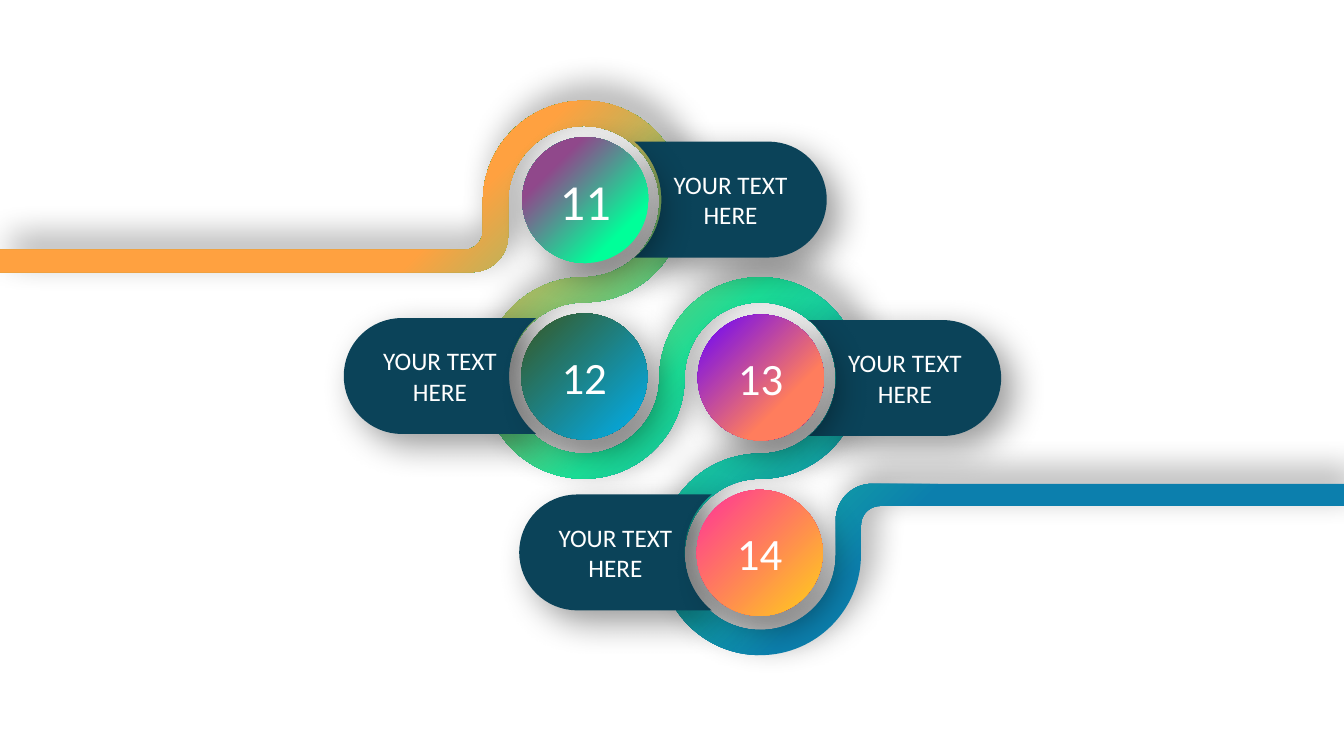
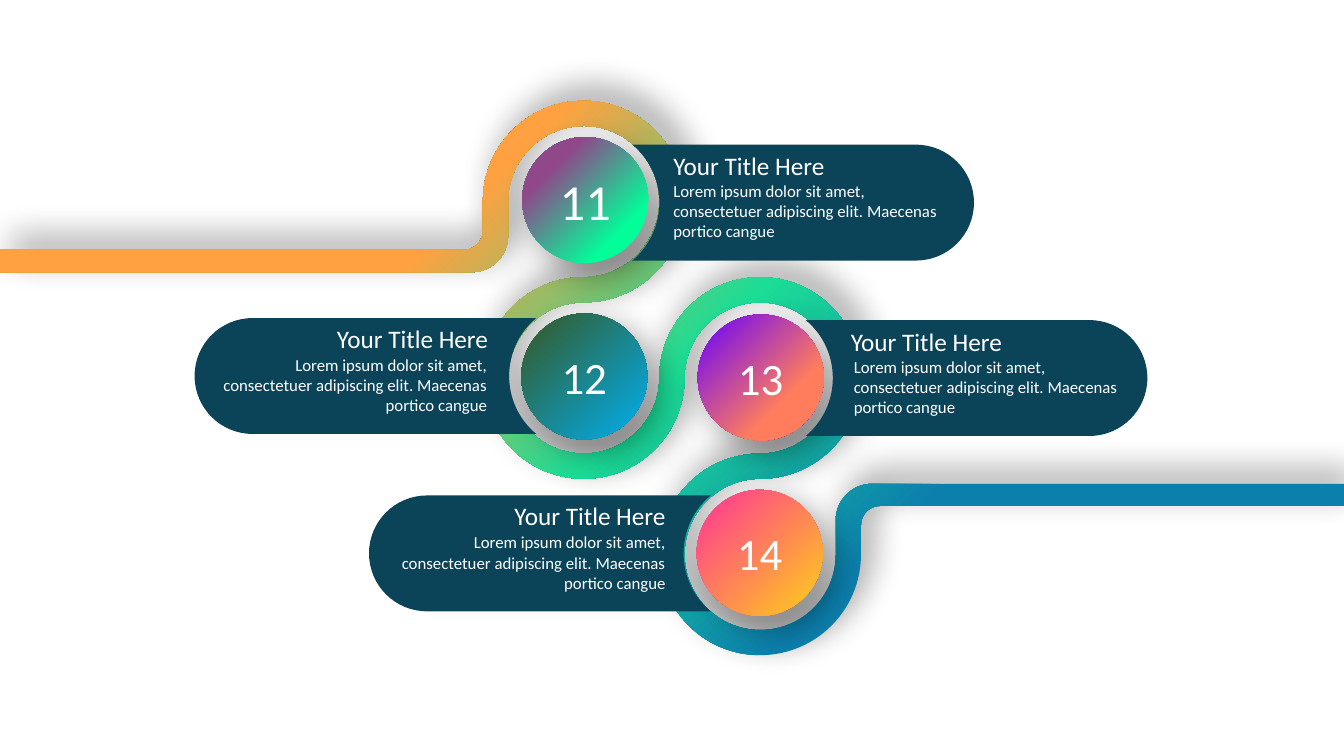
from dataclasses import dataclass
from math import cos, radians, sin, tan

from pptx import Presentation
from pptx.dml.color import RGBColor
from pptx.enum.shapes import MSO_SHAPE as Preset
from pptx.enum.text import MSO_ANCHOR as Anchor, PP_ALIGN as Align
from pptx.oxml import parse_xml
from pptx.oxml.ns import nsdecls, qn
from pptx.util import Emu, Pt

SCALE = 9144
PAGE_WIDTH, PAGE_HEIGHT = 1333, 750
FONT = "Calibri"
WHITE, NAVY, BLACK = "FFFFFF", "0B4359", "000000"
DISC = 125
INNER, OUTER = 75, 100
LEFT_X, RIGHT_X = 579, 754
TOP_Y, MIDDLE_Y, BOTTOM_Y = 200, 375, 550
MOUTH_ANGLE = 50
SHORT_REACH, LONG_REACH = 239, 387
TITLE_WIDTH, BODY_WIDTH = 241, 283
LINEAR = '<a:lin ang="{}" scaled="0"/>'
FROM_BOTTOM_RIGHT = '<a:path path="circle"><a:fillToRect l="100000" t="100000"/></a:path>'
FROM_TOP_LEFT = '<a:path path="circle"><a:fillToRect r="100000" b="100000"/></a:path>'
RIBBON_STOPS = [(30, "0C7FAD"), (50, "1BDD96"), (70, "FFA140")]
LABEL = "YOUR TEXT HERE"
TITLE = "Your Title Here"
BODY = "Lorem ipsum dolor sit amet, consectetuer adipiscing elit. Maecenas portico cangue"


@dataclass
class Step:
    number: str
    size: int
    disc: tuple
    stops: list
    direction: str
    side: int
    short_hub: tuple
    long_hub: tuple
    title: tuple
    body: tuple


STEPS = [
    Step("13", 32, (692, 312), [(31, "FF7D5D"), (100, "6600FF")], FROM_BOTTOM_RIGHT,
         1, (754, 375), (751, 375), (834, 319), (837, 349)),
    Step("12", 32, (517, 311), [(0, "385723"), (100, "00B0F0")], LINEAR.format(45 * 60000),
         -1, (580, 373), (580, 373), (253, 316), (210, 347)),
    Step("14", 32, (691, 486), [(11, "FFBF27"), (100, "FF3399")], FROM_BOTTOM_RIGHT,
         -1, (754, 548), (753, 549), (429, 491), (387, 523)),
    Step("11", 36, (518, 136), [(24, "90488B"), (77, "00FF99")], FROM_TOP_LEFT,
         1, (581, 198), (579, 201), (658, 144), (658, 174)),
]


def px(length):
    return Emu(round(length * SCALE))


def color(value):
    return RGBColor.from_string(value)


def line_to(x, y):
    return [((x, y),)]


def arc(x, y, radius, start, end):
    count = max(1, round(abs(end - start) / 90))
    sweep = radians(end - start) / count
    pull = 4 / 3 * tan(sweep / 4)

    def point(angle, tangent):
        return (x + radius * (cos(angle) - tangent * sin(angle)),
                y + radius * (sin(angle) + tangent * cos(angle)))

    segments = [(point(radians(start), 0),)]
    for i in range(count):
        first = radians(start) + i * sweep
        last = first + sweep
        segments.append((point(first, pull), point(last, -pull), point(last, 0)))
    return segments


def move(segments, place):
    return [tuple(place(x, y) for x, y in segment) for segment in segments]


def bend(shape, segments):
    outline = shape._element.spPr.find(".//" + qn("a:path"))
    nodes = iter(list(outline))
    for segment in segments:
        node = next(nodes)
        if len(segment) == 3:
            curve = parse_xml(f'<a:cubicBezTo {nsdecls("a")}/>')
            outline.replace(node, curve)
            curve.append(node[0])
            for _ in range(2):
                extra = next(nodes)
                curve.append(extra[0])
                outline.remove(extra)


def add_outline(shapes, segments):
    points = [(px(x), px(y)) for segment in segments for x, y in segment]
    builder = shapes.build_freeform(*points[0], scale=1.0)
    builder.add_line_segments(points[1:], close=True)
    shape = builder.convert_to_shape()
    bend(shape, segments)
    shape.shadow.inherit = False
    shape.line.fill.background()
    return shape


def fill_solid(shape, value):
    shape.fill.solid()
    shape.fill.fore_color.rgb = color(value)


def fill_gradient(shape, stops, direction):
    shape.fill.background()
    marks = "".join(
        f'<a:gs pos="{place * 1000}"><a:srgbClr val="{value}"/></a:gs>' for place, value in stops
    )
    gradient = parse_xml(
        f'<a:gradFill {nsdecls("a")} rotWithShape="1"><a:gsLst>{marks}</a:gsLst>{direction}</a:gradFill>'
    )
    properties = shape._element.spPr
    properties.replace(properties.find(qn("a:noFill")), gradient)


def cast_shadow(shape, angle):
    shape._element.spPr.find(qn("a:effectLst")).append(parse_xml(
        f'<a:outerShdw {nsdecls("a")} blurRad="{Pt(25)}" dist="{Pt(12)}" dir="{angle * 60000}" '
        f'algn="ctr" rotWithShape="0"><a:srgbClr val="{BLACK}"><a:alpha val="40000"/>'
        '</a:srgbClr></a:outerShdw>'
    ))


def write(shape, text, size, align, anchor):
    frame = shape.text_frame
    frame.word_wrap = True
    frame.vertical_anchor = anchor
    para = frame.paragraphs[0]
    para.text = text
    para.alignment = align
    para.font.name = FONT
    para.font.size = Pt(size)
    para.font.color.rgb = color(WHITE)


def add_ribbon(page):
    edge = [
        *line_to(0, 248),
        *arc(460, 229, 19, 90, 0),
        *arc(LEFT_X, TOP_Y, OUTER, 180, 450),
        *arc(LEFT_X, MIDDLE_Y, INNER, 270, 0),
        *arc(RIGHT_X, MIDDLE_Y, OUTER, 180, 450),
        *arc(RIGHT_X, BOTTOM_Y, INNER, 270, 0),
        *arc(865, 516, 36, 180, 270),
        *line_to(PAGE_WIDTH, 480),
    ]
    turned = move(edge, lambda x, y: (PAGE_WIDTH - x, PAGE_HEIGHT - y))
    ribbon = add_outline(page.shapes, edge + turned)
    fill_gradient(ribbon, RIBBON_STOPS, LINEAR.format(225 * 60000))
    cast_shadow(ribbon, 315)


def add_pill(shapes, hub, reach, side):
    cap = INNER * sin(radians(MOUTH_ANGLE))
    mouth = arc(0, 0, INNER, MOUTH_ANGLE, -MOUTH_ANGLE)
    segments = mouth + arc(reach - cap, 0, cap, -90, 90)
    pill = add_outline(shapes, move(segments, lambda x, y: (hub[0] + side * x, hub[1] + y)))
    fill_solid(pill, NAVY)
    return pill


def add_disc(shapes, step):
    left, top = step.disc
    disc = shapes.add_shape(Preset.OVAL, px(left), px(top), px(DISC), px(DISC))
    disc.shadow.inherit = False
    disc.line.fill.background()
    fill_gradient(disc, step.stops, step.direction)
    cast_shadow(disc, 45)
    write(disc, step.number, step.size, Align.CENTER, Anchor.MIDDLE)


def add_text(shapes, place, width, height, text, size, align):
    box = shapes.add_textbox(px(place[0]), px(place[1]), px(width), px(height))
    write(box, text, size, align, Anchor.TOP)


def add_label_step(page, step):
    shapes = page.shapes.add_group_shape().shapes
    pill = add_pill(shapes, step.short_hub, SHORT_REACH, step.side)
    cast_shadow(pill, 45)
    write(pill, LABEL, 18, Align.CENTER, Anchor.MIDDLE)
    add_disc(shapes, step)


def add_detail(page, step):
    shapes = page.shapes.add_group_shape().shapes
    align = Align.LEFT if step.side > 0 else Align.RIGHT
    add_pill(shapes, step.long_hub, LONG_REACH, step.side)
    add_text(shapes, step.title, TITLE_WIDTH, 40, TITLE, 18, align)
    add_text(shapes, step.body, BODY_WIDTH, 71, BODY, 12, align)


def add_page(deck):
    page = deck.slides.add_slide(deck.slide_layouts[6])
    add_ribbon(page)
    return page


def main():
    deck = Presentation()
    deck.slide_width, deck.slide_height = px(PAGE_WIDTH), px(PAGE_HEIGHT)

    page = add_page(deck)
    for step in STEPS:
        add_label_step(page, step)

    page = add_page(deck)
    for step in STEPS:
        add_disc(page.shapes, step)
    for step in STEPS:
        add_detail(page, step)

    deck.save("out.pptx")


if __name__ == "__main__":
    main()
